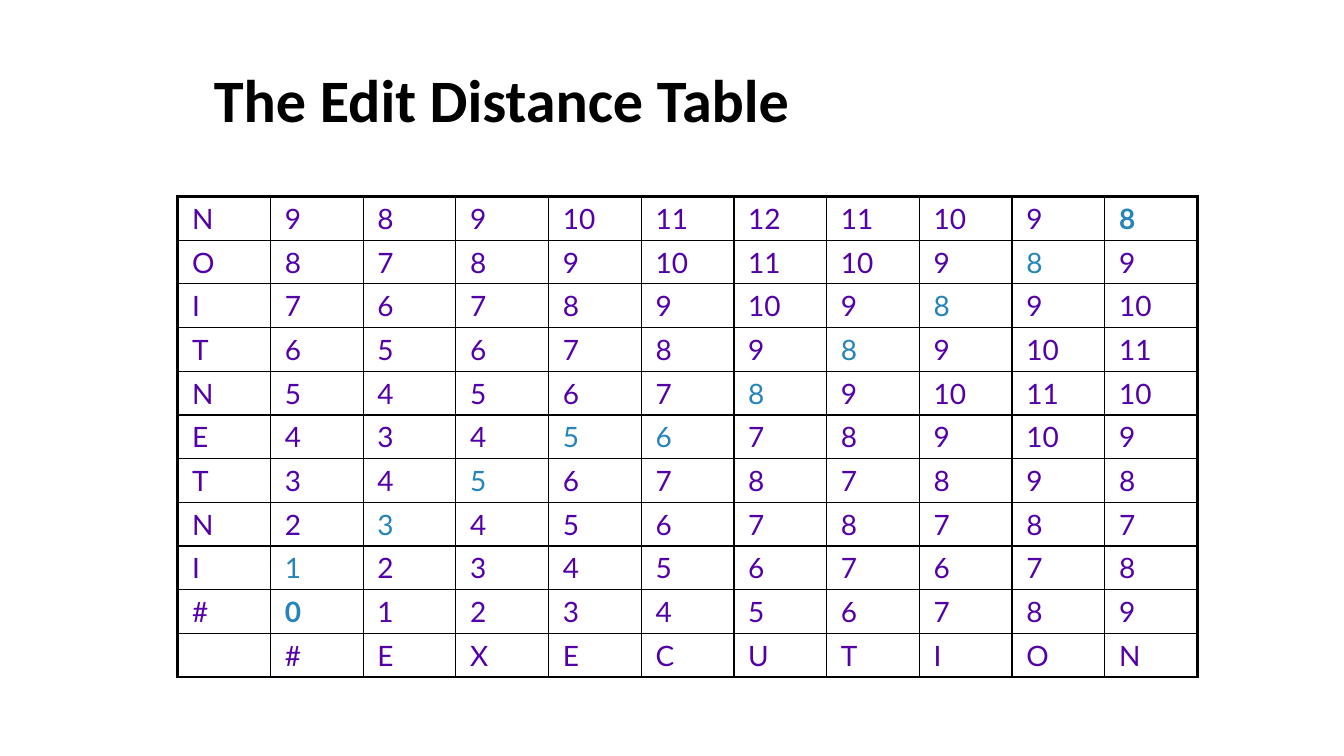
from dataclasses import dataclass
from lxml.etree import SubElement as Sub
from pptx import Presentation as Deck
from pptx.dml.color import RGBColor as Rgb
from pptx.enum.text import MSO_ANCHOR as Anchor, MSO_AUTO_SIZE as Fit, PP_ALIGN as Align
from pptx.oxml.ns import qn
from pptx.util import Cm, Pt

# Content: the distances, with the two words along the left and the bottom
TITLE = "The Edit Distance Table"
ROWS = [
    "N 9 8 9 10 11 12 11 10 9 8".split(),
    "O 8 7 8 9 10 11 10 9 8 9".split(),
    "I 7 6 7 8 9 10 9 8 9 10".split(),
    "T 6 5 6 7 8 9 8 9 10 11".split(),
    "N 5 4 5 6 7 8 9 10 11 10".split(),
    "E 4 3 4 5 6 7 8 9 10 9".split(),
    "T 3 4 5 6 7 8 7 8 9 8".split(),
    "N 2 3 4 5 6 7 8 7 8 7".split(),
    "I 1 2 3 4 5 6 7 6 7 8".split(),
    "# 0 1 2 3 4 5 6 7 8 9".split(),
    ["", *"#EXECUTION"],
]
# Cheapest path as (row, column), from the result back to the start
TRACE = [(0, 10), (1, 9), (2, 8), (3, 7), (4, 6), (5, 5),
         (5, 4), (6, 3), (7, 2), (8, 1), (9, 1)]
ENDS = (TRACE[0], TRACE[-1])


@dataclass(frozen=True)
class Theme:
    head: str = "Calibri"
    body: str = "Lato"
    black: str = "000000"
    text: str = "5400A8"
    mark: str = "2584BB"
    big: float = 43
    size: float = 20
    thin: float = 1
    thick: float = 2.25


LOOK = Theme()


def style(para, face, size, color, bold):
    font = para.font
    font.name, font.size, font.bold = face, Pt(size), bold
    font.color.rgb = Rgb.from_string(color)


def border(cell, edges):
    """Draw the sides in schema order: left, right, top, bottom."""
    props = cell._tc.get_or_add_tcPr()
    for i, (side, outer) in enumerate(zip("LRTB", edges)):
        width = LOOK.thick if outer else LOOK.thin
        line = props.makeelement(qn(f"a:ln{side}"), {"w": str(Pt(width))})
        fill = Sub(line, qn("a:solidFill"))
        Sub(fill, qn("a:srgbClr"), val=LOOK.black)
        props.insert(i, line)


def add_title(slide):
    box = slide.shapes.title
    box.left, box.top, box.width, box.height = Cm(5.36), Cm(1.52), Cm(14.66), Cm(1.88)
    frame = box.text_frame
    frame.text = TITLE
    frame.margin_left = frame.margin_right = frame.margin_bottom = 0
    frame.margin_top = Cm(0.05)
    frame.vertical_anchor, frame.auto_size = Anchor.TOP, Fit.SHAPE_TO_FIT_TEXT
    para = frame.paragraphs[0]
    para.alignment = Align.LEFT
    para._p.get_or_add_pPr().set("marL", str(Cm(0.03)))
    style(para, LOOK.head, LOOK.big, LOOK.black, True)


def add_grid(slide):
    rows, cols = len(ROWS), len(ROWS[0])
    wide, high = Cm(25.7), Cm(12.12)
    grid = slide.shapes.add_table(rows, cols, Cm(4.48), Cm(4.95), wide, high).table
    grid.first_row = grid.horz_banding = False
    for col in grid.columns:
        col.width = wide // cols
    for row in grid.rows:
        row.height = high // rows

    for r, row in enumerate(ROWS):
        for c, value in enumerate(row):
            cell = grid.cell(r, c)
            cell.text = value
            cell.margin_left = cell.margin_right = cell.margin_bottom = 0
            cell.margin_top = Cm(0.13)
            cell.fill.background()
            border(cell, (c == 0, c == cols - 1, r == 0, r == rows - 1))
            para = cell.text_frame.paragraphs[0]
            para._p.get_or_add_pPr().set("marL", str(Cm(0.36)))
            color = LOOK.mark if (r, c) in TRACE else LOOK.text
            style(para, LOOK.body, LOOK.size, color, (r, c) in ENDS)


def main():
    deck = Deck()
    deck.slide_width, deck.slide_height = Cm(33.87), Cm(19.05)
    slide = deck.slides.add_slide(deck.slide_layouts[5])
    add_grid(slide)
    add_title(slide)
    deck.save("out.pptx")


if __name__ == "__main__":
    main()
